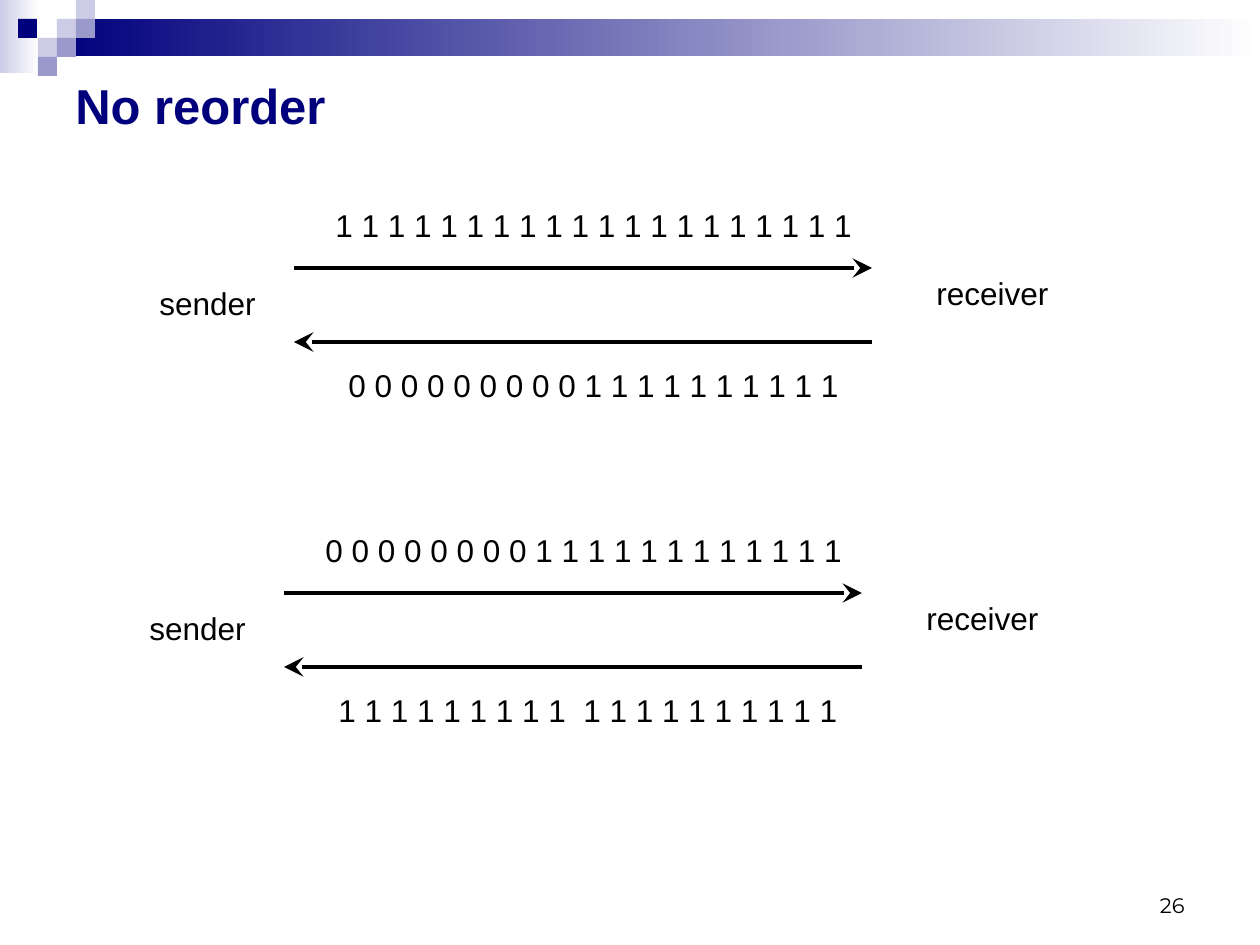
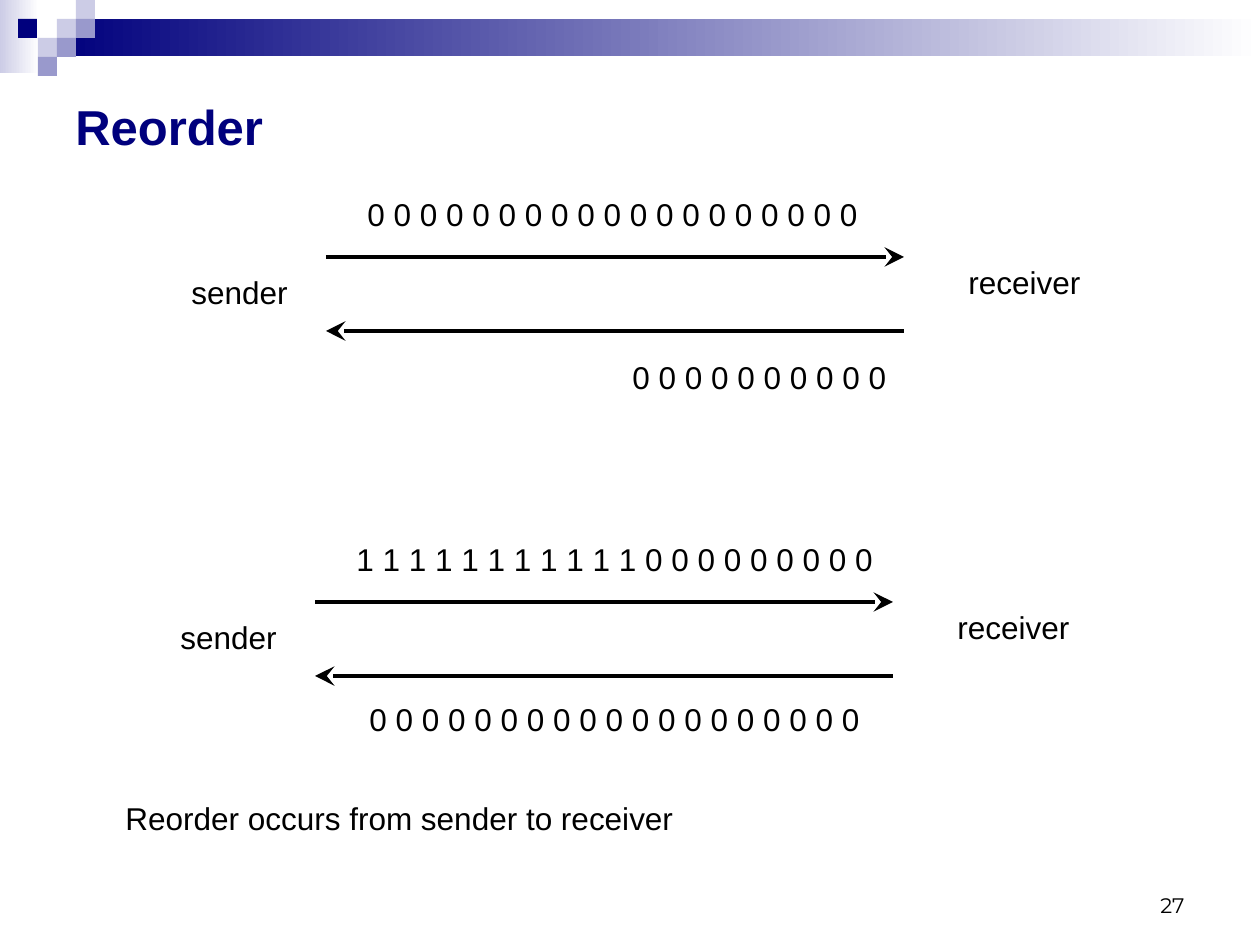
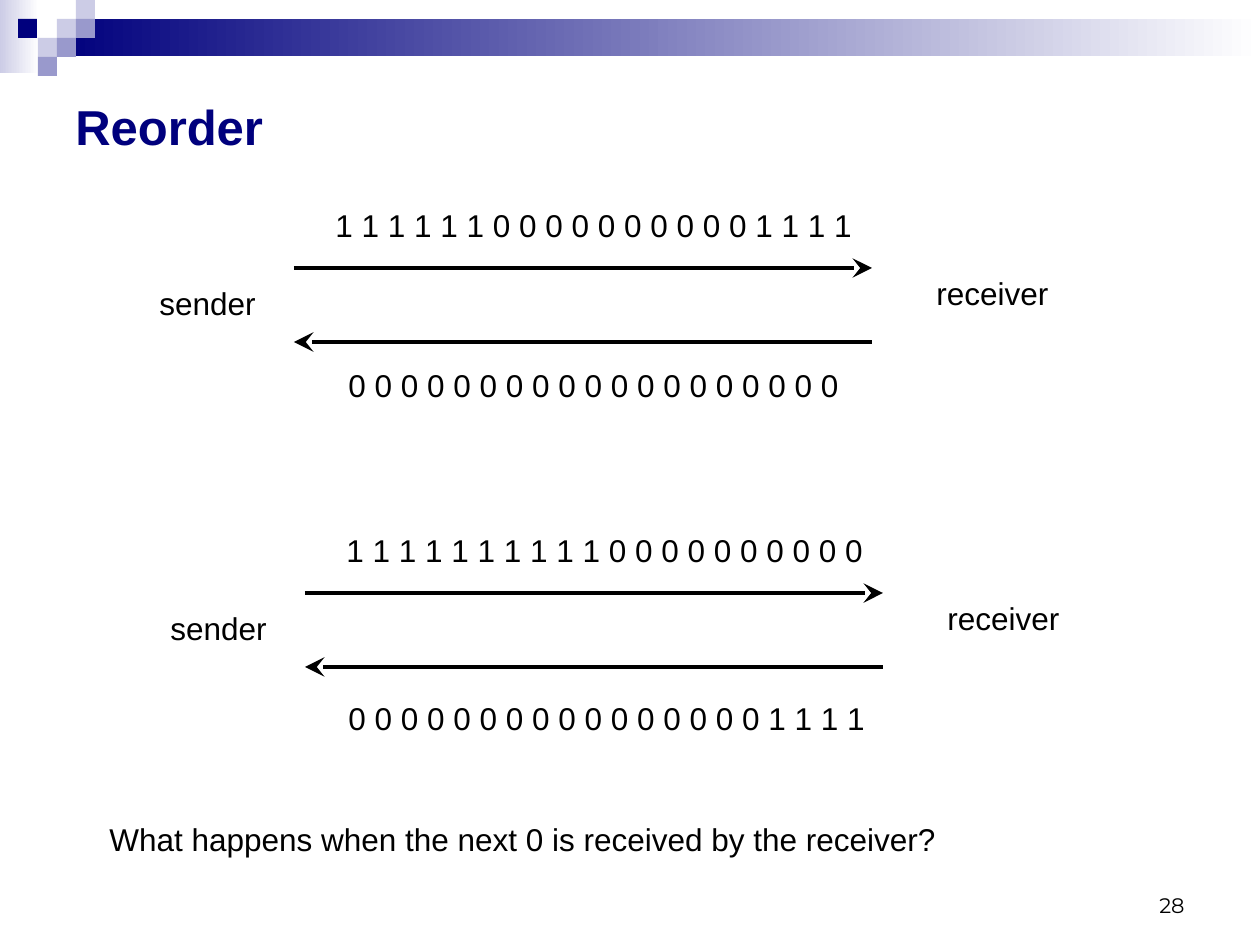
from lxml import etree
from pptx import Presentation
from pptx import util as u
from pptx.dml.color import RGBColor
from pptx.enum import shapes, text
from pptx.oxml import ns

NAVY = RGBColor(0x00, 0x00, 0x7D)
MID = RGBColor(0x99, 0x99, 0xCC)
PALE = RGBColor(0xCC, 0xCC, 0xE6)
WHITE = RGBColor(0xFF, 0xFF, 0xFF)
BLACK = RGBColor(0x00, 0x00, 0x00)

EMU_PER_PX = 914400 / 126
SLIDE_WIDTH, SLIDE_HEIGHT = 1260, 945
SQUARE = 19
MOSAIC = [(57, 19, PALE), (76, 0, PALE), (76, 19, MID), (38, 38, PALE),
          (18, 19, NAVY), (57, 38, MID), (38, 57, MID)]
LABEL_HEIGHT = 50
ARROW_LENGTH, ARROW_GAP = 578, 74
REPLY_PLACE = (42, 92, 536)

SLIDES = [
    dict(number="26", title="No reorder", title_top=42, exchanges=[
        ((294, 268), "1 1 1 1 1 1 1 1 1 1 1 1 1 1 1 1 1 1 1 1",
         "0 0 0 0 0 0 0 0 0 1 1 1 1 1 1 1 1 1 1", REPLY_PLACE),
        ((284, 593), "0 0 0 0 0 0 0 0 1 1 1 1 1 1 1 1 1 1 1 1",
         "1 1 1 1 1 1 1 1 1  1 1 1 1 1 1 1 1 1 1", REPLY_PLACE)]),
    dict(number="27", title="Reorder", title_top=63, exchanges=[
        ((326, 257), "0 0 0 0 0 0 0 0 0 0 0 0 0 0 0 0 0 0 0",
         "0 0 0 0 0 0 0 0 0 0", (294, 95, 284)),
        ((315, 602), "1 1 1 1 1 1 1 1 1 1 1 0 0 0 0 0 0 0 0 0",
         "0 0 0 0 0 0 0 0 0 0 0 0 0 0 0 0 0 0 0", REPLY_PLACE)],
         remark=("Reorder occurs from sender to receiver", 113, 793, 577)),
    dict(number="28", title="Reorder", title_top=63, exchanges=[
        ((294, 268), "1 1 1 1 1 1 0 0 0 0 0 0 0 0 0 0 1 1 1 1",
         "0 0 0 0 0 0 0 0 0 0 0 0 0 0 0 0 0 0 0", REPLY_PLACE),
        ((305, 593), "1 1 1 1 1 1 1 1 1 1 0 0 0 0 0 0 0 0 0 0",
         "0 0 0 0 0 0 0 0 0 0 0 0 0 0 0 0 1 1 1 1", (31, 100, 567))],
         remark=("What happens when the next 0 is received by the receiver?",
                 97, 814, 861)),
]


def px(*lengths):
    """Turn pixel lengths into EMU."""
    return [u.Emu(round(length * EMU_PER_PX)) for length in lengths]


def add_block(slide, box, *colors):
    """Draw a borderless rectangle, fading left to right if given two colours."""
    block = slide.shapes.add_shape(shapes.MSO_SHAPE.RECTANGLE, *px(*box))
    block.shadow.inherit = False
    block.line.fill.background()
    if len(colors) == 1:
        block.fill.solid()
        block.fill.fore_color.rgb = colors[0]
        return
    block.fill.gradient()
    block.fill.gradient_angle = 0
    for stop, color in zip(block.fill.gradient_stops, colors):
        stop.color.rgb = color


def add_label(slide, words, box, size=18, color=BLACK, font="Arial", bold=False,
              wrap=False, anchor=text.MSO_ANCHOR.TOP, align=text.PP_ALIGN.LEFT):
    """Write one line of text in a box."""
    frame = slide.shapes.add_textbox(*px(*box)).text_frame
    frame.word_wrap = wrap
    frame.vertical_anchor = anchor
    line = frame.paragraphs[0]
    line.alignment = align
    run = line.add_run()
    run.text = words
    run.font.name = font
    run.font.size = u.Pt(size)
    run.font.bold = bold
    run.font.color.rgb = color


def add_arrow(slide, start_x, end_x, y):
    """Draw a horizontal message arrow."""
    arrow = slide.shapes.add_connector(shapes.MSO_CONNECTOR.STRAIGHT,
                                       *px(start_x, y, end_x, y))
    arrow.line.width = u.Pt(2.25)
    arrow.line.color.rgb = BLACK
    etree.SubElement(arrow.line._get_or_add_ln(), ns.qn("a:tailEnd"),
                     type="stealth", w="lg", len="lg")
    etree.SubElement(arrow._element.spPr, ns.qn("a:effectLst"))


def add_frame(slide, title, title_top, number):
    """Draw the top band, the mosaic, the title and the slide number."""
    add_block(slide, (0, 0, 39, 73), PALE, WHITE)
    add_block(slide, (57, 19, SLIDE_WIDTH - 57, 37), NAVY, WHITE)
    for left, top, color in MOSAIC:
        add_block(slide, (left, top, SQUARE, SQUARE), color)
    add_label(slide, number, (903, 861, 294, 63), size=12, font="Montserrat", wrap=True,
              anchor=text.MSO_ANCHOR.BOTTOM, align=text.PP_ALIGN.RIGHT)
    add_label(slide, title, (63, title_top, 1134, 126), size=28, color=NAVY, bold=True,
              wrap=True, anchor=text.MSO_ANCHOR.MIDDLE)


def add_exchange(slide, origin, sent, reply, reply_place):
    """Draw the sender, the receiver and the bits passing both ways."""
    x, y = origin
    add_label(slide, "sender", (x - 147, y + 10, 126, LABEL_HEIGHT))
    add_label(slide, "receiver", (x + 630, y, 141, LABEL_HEIGHT))
    add_arrow(slide, x, x + ARROW_LENGTH, y)
    add_arrow(slide, x + ARROW_LENGTH, x, y + ARROW_GAP)
    sent_width = 22 + len(sent.split()) * 263 // 10
    add_label(slide, sent, (x + 29, y - 68, sent_width, LABEL_HEIGHT))
    dx, dy, reply_width = reply_place
    add_label(slide, reply, (x + dx, y + dy, reply_width, LABEL_HEIGHT), wrap=True)


def main():
    """Build the slides and save them."""
    deck = Presentation()
    deck.slide_width, deck.slide_height = px(SLIDE_WIDTH, SLIDE_HEIGHT)
    for content in SLIDES:
        slide = deck.slides.add_slide(deck.slide_layouts[6])
        add_frame(slide, content["title"], content["title_top"], content["number"])
        for exchange in content["exchanges"]:
            add_exchange(slide, *exchange)
        if "remark" in content:
            words, left, top, width = content["remark"]
            add_label(slide, words, (left, top, width, LABEL_HEIGHT))
    deck.save("out.pptx")


if __name__ == "__main__":
    main()
